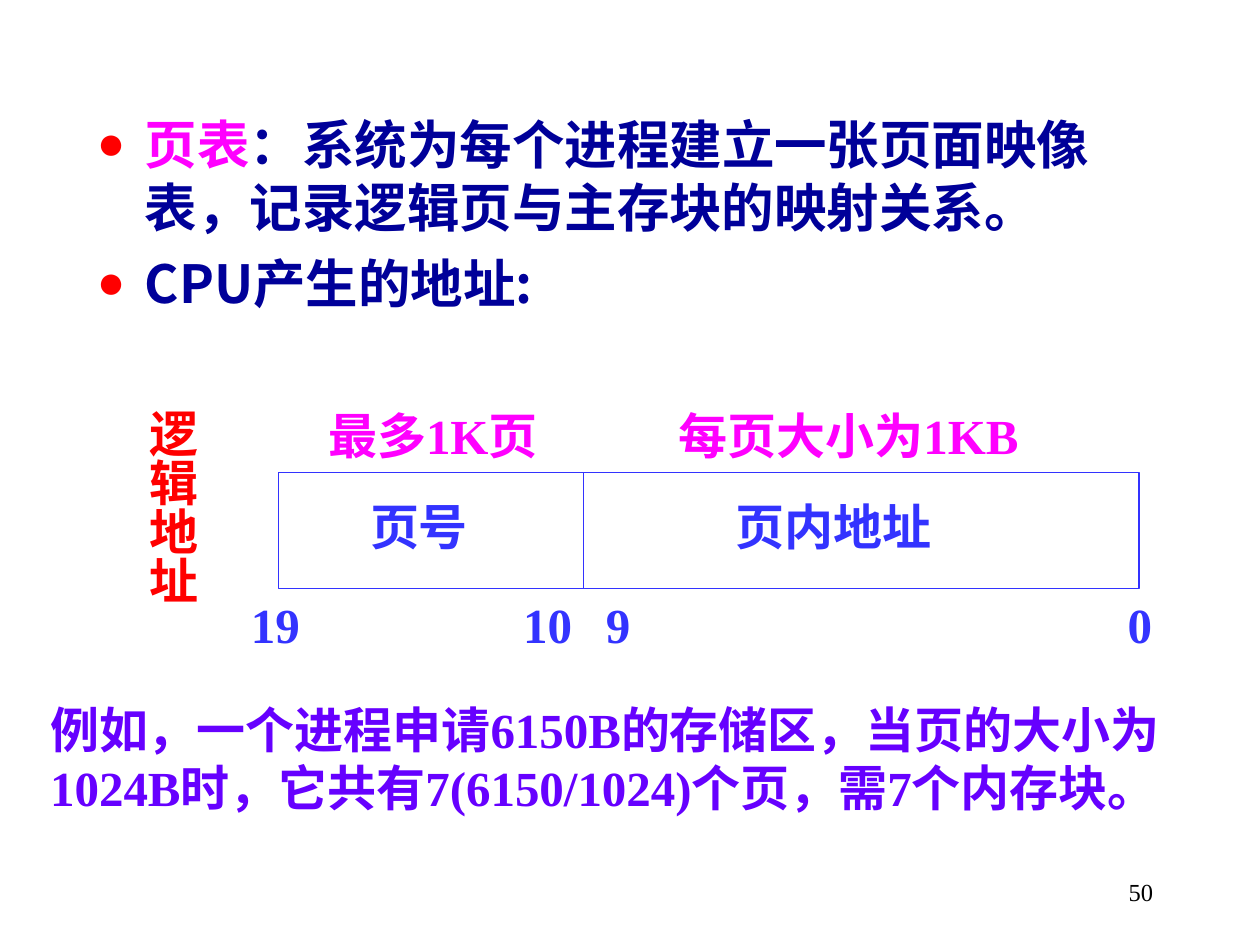
import pptx
import pptx.dml.color
import pptx.enum.shapes
import pptx.enum.text
import pptx.oxml
import pptx.oxml.ns
import pptx.util
from pptx.util import Inches

ALIGN = pptx.enum.text.PP_ALIGN
ANCHOR = pptx.enum.text.MSO_ANCHOR
SERIF = "Times New Roman"
SANS = "Noto Sans CJK SC"
BLUE, NAVY, PINK, RED, VIOLET = "3333FF", "000099", "FF00FF", "FF0000", "6600FF"


def color(value):
    """Turn a hex string into a colour."""
    return pptx.dml.color.RGBColor.from_string(value)


def style(span, size, hue, name=SERIF, bold=True):
    """Format one run."""
    span.font.size = pptx.util.Pt(size)
    span.font.name = name
    span.font.bold = bold
    span.font.color.rgb = color(hue)


def add_label(page, left, top, width, height, text, hue,
              align=ALIGN.CENTER, size=28, bold=True, wrap=False):
    """Add a text box with one style and return it."""
    box = page.shapes.add_textbox(Inches(left), Inches(top), Inches(width), Inches(height))
    box.text_frame.text = text
    box.text_frame.word_wrap = wrap
    for para in box.text_frame.paragraphs:
        para.alignment = align
        for span in para.runs:
            style(span, size, hue, bold=bold)
    return box


def add_bullet(para):
    """Give a paragraph a hanging red dot."""
    props = para._p.get_or_add_pPr()
    props.set("marL", str(Inches(0.38)))
    props.set("indent", str(-Inches(0.38)))
    namespace = pptx.oxml.ns.nsdecls("a")
    for element in (f'<a:buClr {namespace}><a:srgbClr val="{RED}"/></a:buClr>',
                    f'<a:buSzPct {namespace} val="90000"/>',
                    f'<a:buFont {namespace} typeface="{SERIF}"/>',
                    f'<a:buChar {namespace} char="●"/>'):
        props.append(pptx.oxml.parse_xml(element))


def add_definitions(page, left, top, width, height):
    """Add the bulleted definitions."""
    box = page.shapes.add_textbox(Inches(left), Inches(top), Inches(width), Inches(height))
    frame = box.text_frame
    frame.word_wrap = True
    frame.margin_right = Inches(0.5)
    items = [
        [("页表", PINK), ("：系统为每个进程建立一张页面映像表，记录逻辑页与主存块的映射关系。", NAVY)],
        [("CPU产生的地址:", NAVY)],
    ]
    for index, parts in enumerate(items):
        para = frame.add_paragraph() if index else frame.paragraphs[0]
        add_bullet(para)
        if index:
            para.space_before = pptx.util.Pt(7.5)
        for text, hue in parts:
            span = para.add_run()
            span.text = text
            style(span, 30, hue, SANS)


def add_address_format(page, left, top, width, height):
    """Draw the address word with its fields, sizes and bit numbers."""
    word = page.shapes.add_shape(pptx.enum.shapes.MSO_SHAPE.RECTANGLE,
                                 Inches(left), Inches(top), Inches(width), Inches(height))
    word.shadow.inherit = False
    word.fill.solid()
    word.fill.fore_color.rgb = color("FFFFFF")
    split = Inches(left + 2.42)
    divider = page.shapes.add_connector(pptx.enum.shapes.MSO_CONNECTOR.STRAIGHT,
                                        split, Inches(top), split, Inches(top + height))
    divider._element.spPr.append(
        pptx.oxml.parse_xml(f'<a:effectLst {pptx.oxml.ns.nsdecls("a")}/>'))
    for shape in (word, divider):
        shape.line.color.rgb = color(BLUE)
        shape.line.width = pptx.util.Pt(0.75)

    size_row, field_row, bit_row = top - 0.58, top + 0.14, top + height
    for across, row, box_width, text, hue in (
            (0.58, field_row, 1.07, "页号", BLUE),
            (3.48, field_row, 1.85, "页内地址", BLUE),
            (-0.38, bit_row, 0.71, "19", BLUE),
            (1.84, bit_row, 0.59, "10", BLUE),
            (2.5, bit_row, 0.39, "9", BLUE),
            (6.64, bit_row, 0.39, "0", BLUE),
            (0.2, size_row, 2.05, "最多1K页", PINK),
            (2.87, size_row, 3.31, "每页大小为1KB", PINK)):
        add_label(page, left + across, row, box_width, 0.57, text, hue)


def add_side_title(page, left, top, width, height):
    """Add the vertical name of the address word."""
    box = add_label(page, left, top, width, height, "逻辑地址", RED, wrap=True)
    frame = box.text_frame
    frame.margin_left = frame.margin_right = Inches(0.05)
    frame.margin_top = frame.margin_bottom = Inches(0.1)
    frame._txBody.bodyPr.set("vert", "eaVert")


def add_example(page, left, top, width, height):
    """Add the worked example."""
    add_label(page, left, top, width, height,
              "例如，一个进程申请6150B的存储区，当页的大小为\n"
              "1024B时，它共有7(6150/1024)个页，需7个内存块。", VIOLET, ALIGN.LEFT)


def add_page_number(page, left, top, width, height):
    """Add the page number."""
    box = add_label(page, left, top, width, height, "50", "000000",
                    ALIGN.RIGHT, size=14, bold=False, wrap=True)
    box.text_frame.vertical_anchor = ANCHOR.MIDDLE


def main():
    """Build the deck."""
    deck = pptx.Presentation()
    deck.slide_width, deck.slide_height = Inches(10), Inches(7.5)
    page = deck.slides.add_slide(deck.slide_layouts[6])
    add_page_number(page, 7.17, 6.83, 2.08, 0.5)
    add_definitions(page, 0.67, 0.84, 8.83, 1.98)
    add_address_format(page, 2.21, 3.75, 6.83, 0.92)
    add_example(page, 0.3, 5.5, 9.44, 1.04)
    add_side_title(page, 0.99, 3.15, 0.66, 1.97)
    deck.save("out.pptx")


if __name__ == "__main__":
    main()
